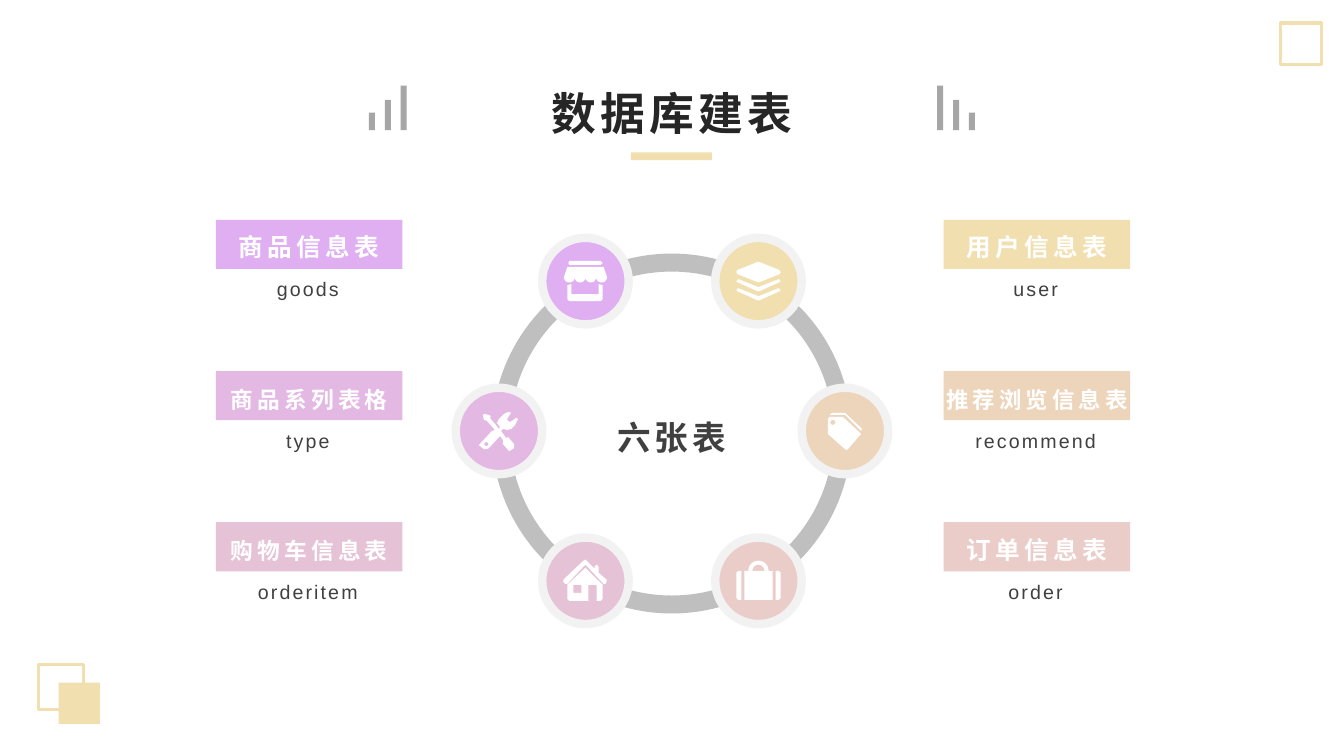
import math
from lxml import etree
from pptx import Presentation
from pptx import util as u
from pptx.dml.color import RGBColor
from pptx.enum import shapes, text
from pptx.oxml import ns

WHITE = RGBColor(0xFF, 0xFF, 0xFF)
PALE = RGBColor(0xF2, 0xF2, 0xF2)
SILVER = RGBColor(0xBF, 0xBF, 0xBF)
GREY = RGBColor(0xA6, 0xA6, 0xA6)
DARK = RGBColor(0x40, 0x40, 0x40)
INK = RGBColor(0x26, 0x26, 0x26)
GOLD = RGBColor(0xF1, 0xDF, 0xAF)
VIOLET = RGBColor(0xDF, 0xAF, 0xF1)
LILAC = RGBColor(0xE3, 0xB9, 0xE4)
PINK = RGBColor(0xE6, 0xC2, 0xD7)
SAND = RGBColor(0xED, 0xD5, 0xBC)
ROSE = RGBColor(0xEA, 0xCC, 0xC9)

WIDTH, HEIGHT = 33.87, 19.05
MID = WIDTH / 2
UNIT = 0.0254
RECT = shapes.MSO_SHAPE.RECTANGLE
OVAL = shapes.MSO_SHAPE.OVAL
DONUT = shapes.MSO_SHAPE.DONUT


def arc(x, y, r, start=0, end=360):
    turns = [math.radians(start + (end - start) * i / 16) for i in range(17)]
    return [(x + r * math.cos(t), y + r * math.sin(t)) for t in turns]


def flip(points):
    return [(-x, y) for x, y in points]


def drop(points, dy):
    return [(x, y + dy) for x, y in points]


FOLD = [(-22, 0), (-20, -2), (0, 6), (20, -2), (22, 0), (21, 1), (1, 10), (-1, 10), (-21, 1)]
LAYERS = [
    [(-22, -9), (-21, -11), (-1, -19), (1, -19), (21, -11), (22, -9),
     (21, -7), (1, 1), (-1, 1), (-21, -7)],
    FOLD, drop(FOLD, 9)]
SHOP = [
    [p for x in (16, 5.3, -5.3, -16) for p in arc(x, -4, 5.4, 0, 180)] + [(-18, -14), (18, -14)],
    [(-16, -20), (15, -20), (17, -18), (15, -16), (-16, -16), (-17, -18)],
    [(-18, 4), (-14, 3), (-14, 13), (13, 13), (13, 3), (17, 4),
     (17, 18), (15, 20), (-16, 20), (-18, 18)]]
TAGS = [
    [(16, 0), (0, -16), (-15, -16), (-13, -18), (0, -18), (16, -3), (17, -2)],
    [(-2, -14), (15, 2), (16, 3), (15, 4), (3, 18), (2, 19), (0, 18),
     (-17, 3), (-17, -12), (-15, -14)],
    arc(-12, -8.5, 2.5)]
SIDE = [(-22, 17), (-22, -8), (-20, -10), (-17, -10), (-17, 19), (-20, 19)]
BAG = [
    [(-14, 19), (-14, -10)] + arc(0, -10, 10, 180, 360) + [(14, -10), (14, 19)],
    arc(0, -10, 6, 180, 360), SIDE, flip(SIDE)]
HOUSE = [
    [(21, 1), (20, 3), (18, 3), (0, -16), (-18, 3), (-20, 3), (-22, 1), (-22, -1),
     (-2, -20), (0, -21), (1, -20), (9, -12), (9, -14), (11, -16), (13, -14), (13, -8), (21, -1)],
    [(17, 4), (17, 18), (15, 20), (11, 20), (11, 4), (3, 4), (3, 20),
     (-16, 20), (-18, 18), (-18, 4), (0, -13)],
    [(-4, 4), (-12, 4), (-12, 12), (-4, 12)]]
TOOLS = [
    [(19, -12), (17, -13), (13, -10), (11, -9), (9, -10), (8, -12), (12, -18), (10, -19),
     (7, -18), (4, -16), (0, -12), (-2, -8), (1, -4), (0, -2), (-9, -13), (-8, -15),
     (-14, -17), (-16, -16), (-15, -11), (-12, -10), (-4, -1), (-7, 0), (-20, 14),
     (-15, 18), (-12, 18), (-10, 17), (1, 5), (4, 9), (4, 13), (10, 20), (15, 17),
     (15, 13), (9, 6), (7, 7), (2, 0), (4, -2), (8, -1), (12, -2), (16, -6)],
    arc(-12.5, 13, 2)]

LEFT = [(VIOLET, "商品信息表", 17.6, "goods", SHOP),
        (LILAC, "商品系列表格", 16.2, "type", TOOLS),
        (PINK, "购物车信息表", 16.2, "orderitem", HOUSE)]
RIGHT = [(GOLD, "用户信息表", 17.6, "user", LAYERS),
         (SAND, "推荐浏览信息表", 16, "recommend", TAGS),
         (ROSE, "订单信息表", 17.6, "order", BAG)]


class Deck:
    font = "Arial"

    def __init__(self):
        self.show = Presentation()
        self.show.slide_width = u.Cm(WIDTH)
        self.show.slide_height = u.Cm(HEIGHT)
        self.slide = self.show.slides.add_slide(self.show.slide_layouts[6])

    def paint(self, item, fill, line=None, weight=0):
        item.shadow.inherit = False
        if fill is None:
            item.fill.background()
        else:
            item.fill.solid()
            item.fill.fore_color.rgb = fill
        if line is None:
            item.line.fill.background()
        else:
            item.line.color.rgb = line
            item.line.width = u.Pt(weight)

    def shape(self, kind, x, y, w, h, fill=None, line=None, weight=0):
        item = self.slide.shapes.add_shape(kind, u.Cm(x), u.Cm(y), u.Cm(w), u.Cm(h))
        self.paint(item, fill, line, weight)
        return item

    def icon(self, x, y, loops):
        loops = [[(u.Cm(x + a * UNIT), u.Cm(y + b * UNIT)) for a, b in loop] for loop in loops]
        pen = self.slide.shapes.build_freeform(*loops[0][0])
        pen.add_line_segments(loops[0][1:])
        for loop in loops[1:]:
            pen.move_to(*loop[0])
            pen.add_line_segments(loop[1:])
        self.paint(pen.convert_to_shape(), WHITE)

    def label(self, words, x, y, w, h, size, color, anchor, bold=True, space=3, lead=1.2):
        frame = self.slide.shapes.add_textbox(u.Cm(x), u.Cm(y), u.Cm(w), u.Cm(h)).text_frame
        frame.word_wrap = True
        frame.vertical_anchor = anchor
        frame.text = words
        para = frame.paragraphs[0]
        para.alignment = text.PP_ALIGN.CENTER
        para.line_spacing = lead
        run = para.runs[0]
        run.font.size = u.Pt(size)
        run.font.bold = bold
        run.font.color.rgb = color
        run.font.name = self.font
        props = run.font._element
        props.set("spc", str(int(space * 100)))
        etree.SubElement(props, ns.qn("a:ea")).set("typeface", self.font)
        return frame

    def badge(self, x, y, fill, title, size, name):
        self.shape(RECT, x, y, 4.7, 1.24, fill)
        wide = 6.1 if len(title) > 6 else 4.7
        self.label(title, x + (4.7 - wide) / 2, y + 0.06, wide, 1.12, size, WHITE,
                   text.MSO_ANCHOR.BOTTOM)
        frame = self.label(name, x + 0.02, y + 1.33, 4.6, 1.75, 14, DARK,
                           text.MSO_ANCHOR.TOP, False, 1.5)
        frame.margin_top = 0
        frame.paragraphs[0].space_after = u.Pt(6.2)

    def node(self, angle, fill, loops):
        turn = math.radians(angle)
        x, y = MID + 4.36 * math.cos(turn), 10.86 + 4.36 * math.sin(turn)
        self.shape(OVAL, x - 1.09, y - 1.09, 2.18, 2.18, fill, PALE, 6)
        self.icon(x, y, loops)


def main():
    deck = Deck()
    ring = deck.shape(DONUT, MID - 4.54, 6.39, 9.07, 9.07, SILVER)
    ring.adjustments[0] = 0.05
    for i, tall in enumerate((0.44, 0.76, 1.12)):
        x = 9.3 + 0.4 * i
        for side in (x, WIDTH - x - 0.15):
            deck.shape(RECT, side, 3.28 - tall, 0.15, tall, GREY)
    for x, rows, start, step in ((5.44, LEFT, 240, -60), (23.78, RIGHT, 300, 60)):
        for i, (fill, title, size, name, loops) in enumerate(rows):
            deck.badge(x, 5.54 + 3.81 * i, fill, title, size, name)
            deck.node(start + step * i, fill, loops)
    deck.label("六张表", 14.33, 9.53, 5.2, 2.64, 24, DARK, text.MSO_ANCHOR.MIDDLE, lead=1.3)
    deck.shape(RECT, 0.97, 16.74, 1.14, 1.14, None, GOLD, 2.25)
    deck.shape(RECT, 1.48, 17.2, 1.04, 1.04, GOLD)
    deck.shape(RECT, 32.26, 0.58, 1.04, 1.04, None, GOLD, 2.25)
    deck.shape(RECT, 15.9, 3.84, 2.04, 0.2, GOLD)
    deck.label("数据库建表", 11, 1.65, 11.86, 2.08, 32, INK, text.MSO_ANCHOR.MIDDLE)
    deck.show.save("out.pptx")


if __name__ == "__main__":
    main()
